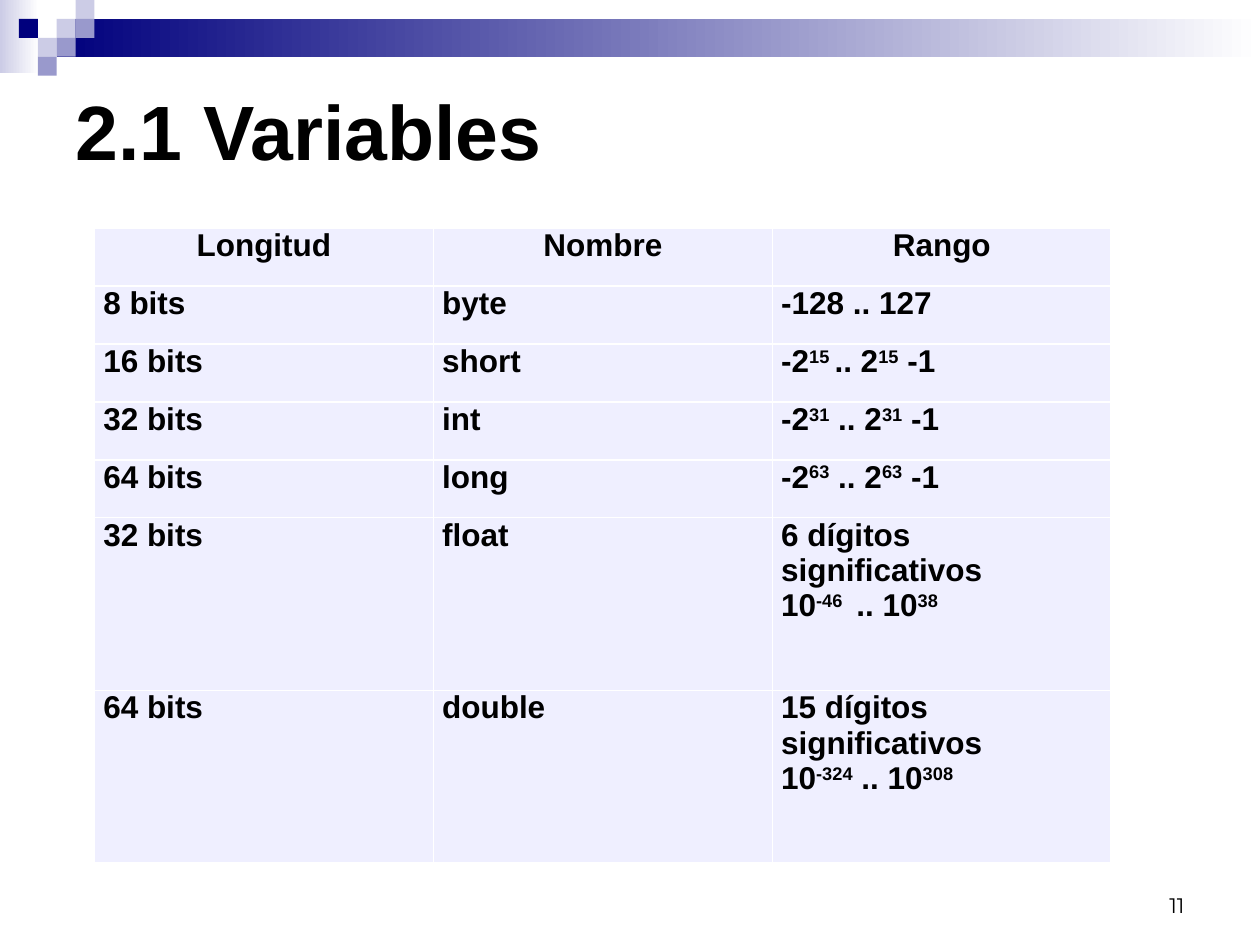
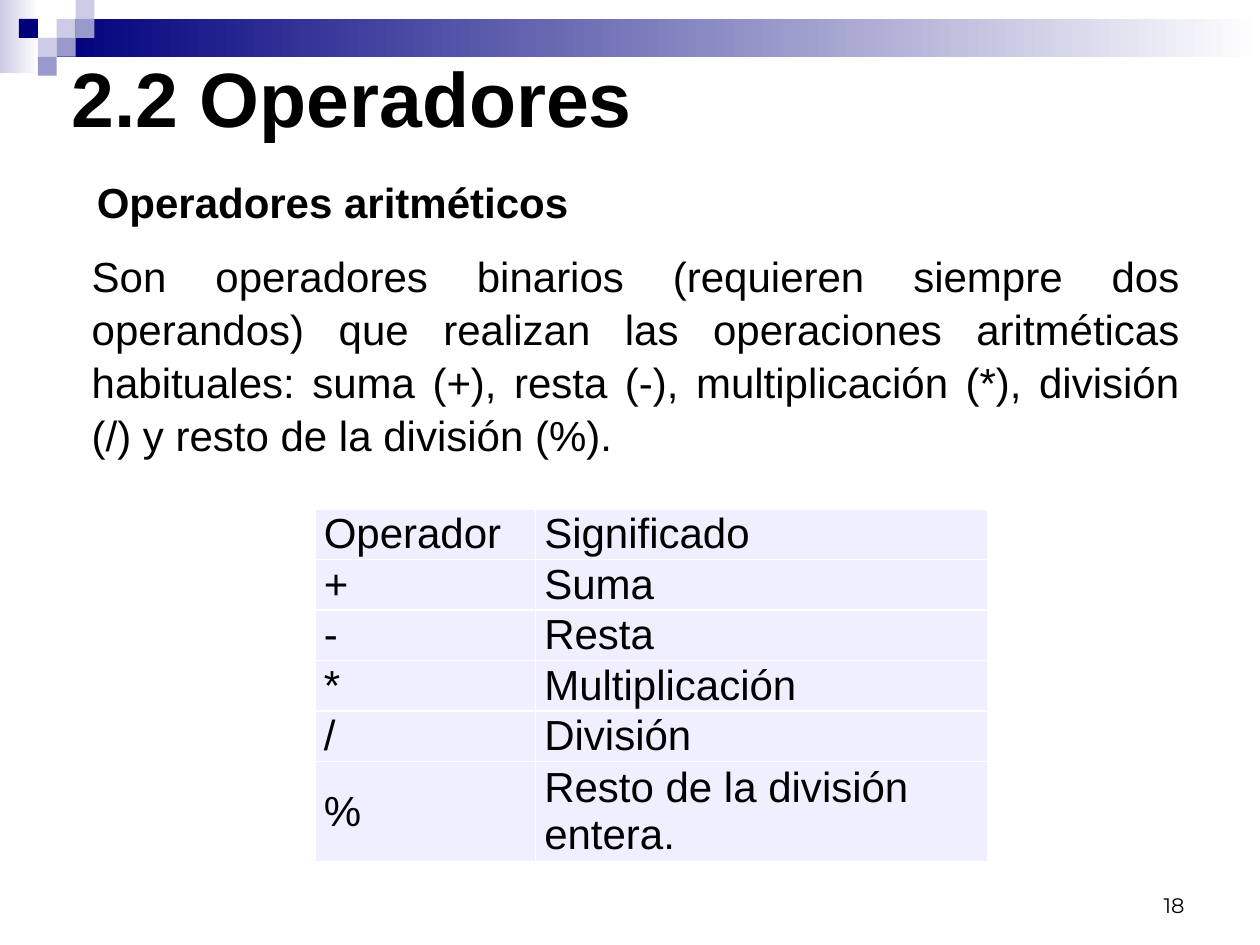
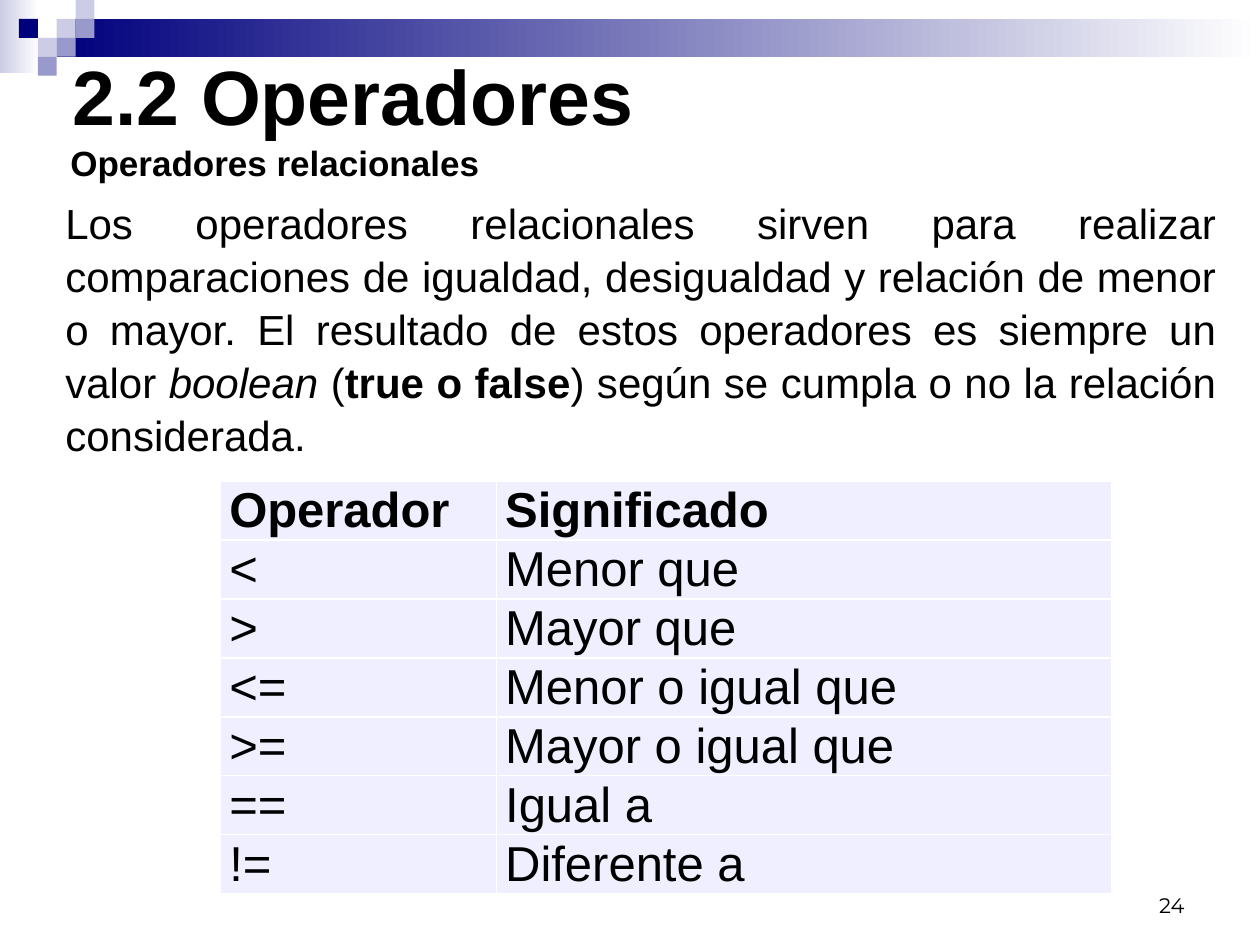
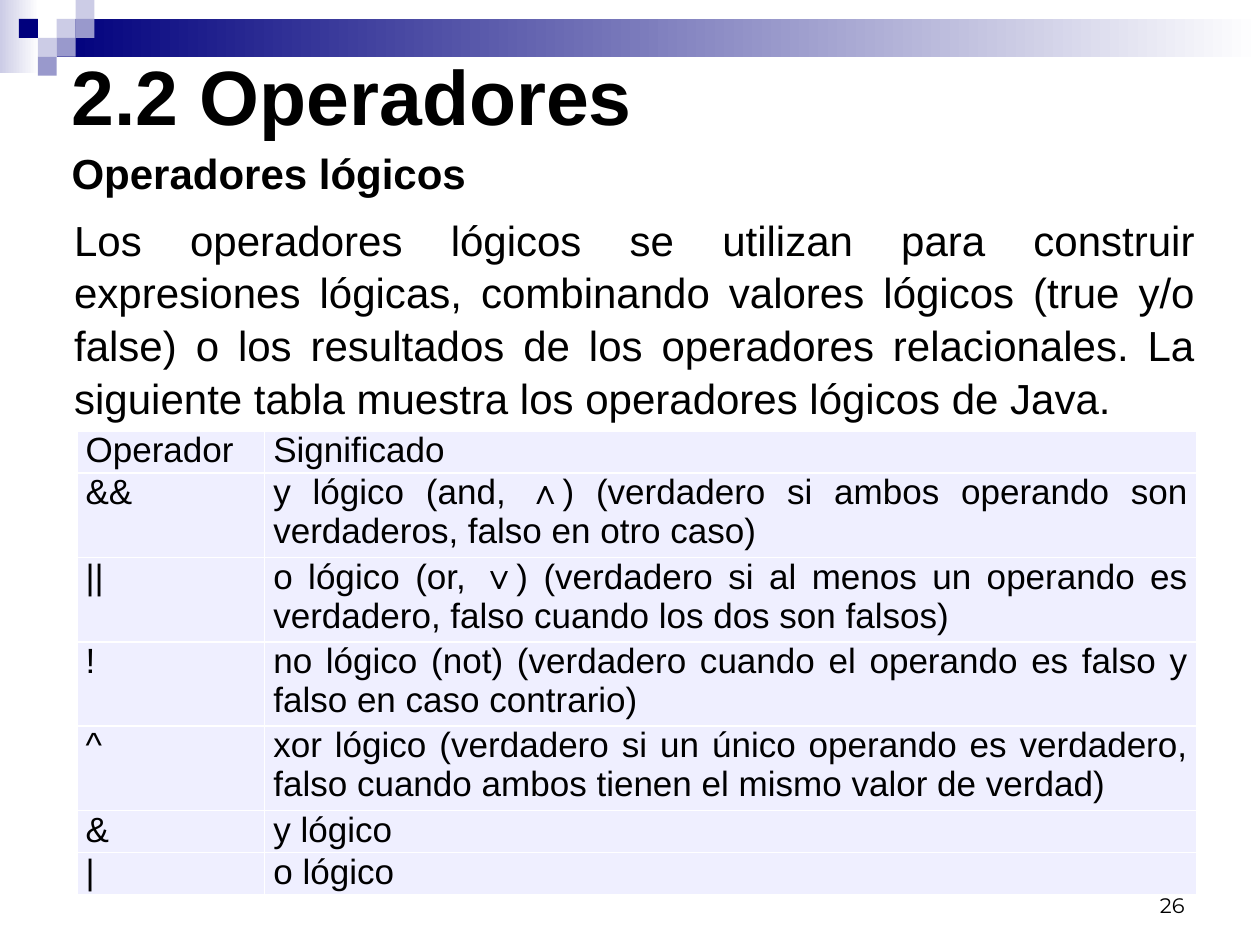
from dataclasses import dataclass, field
from lxml import etree
from pptx import Presentation
from pptx import util as u
from pptx.dml import color
from pptx.enum import shapes, text
from pptx.oxml import ns

COLORS = {
    "navy": "00007D", "violet": "9999CC", "lilac": "CCCCE6",
    "white": "FFFFFF", "black": "000000", "cell": "EFEFFF",
}
FONT, NUMBER_FONT = "Arial", "Montserrat"
LEFT, CENTER = text.PP_ALIGN.LEFT, text.PP_ALIGN.CENTER
RIGHT, JUSTIFY = text.PP_ALIGN.RIGHT, text.PP_ALIGN.JUSTIFY
TOP, MIDDLE = text.MSO_ANCHOR.TOP, text.MSO_ANCHOR.MIDDLE
BOTTOM = text.MSO_ANCHOR.BOTTOM


@dataclass(frozen=True)
class Area:
    left: float
    top: float
    width: float
    height: float

    def lengths(self) -> list[u.Length]:
        return [u.Inches(n) for n in (self.left, self.top, self.width, self.height)]


@dataclass(frozen=True)
class Run:
    words: str
    bold: bool = False
    italic: bool = False
    raised: bool = False


Line = list[Run]


@dataclass(frozen=True)
class Style:
    size: float
    bold: bool = False
    align: text.PP_ALIGN = LEFT
    anchor: text.MSO_ANCHOR = TOP
    font: str = FONT
    spacing: float = 1.0


TITLE = Style(44, bold=True, anchor=MIDDLE)
BODY = Style(24, align=JUSTIFY, spacing=1.05)
NUMBER = Style(12, align=RIGHT, anchor=BOTTOM, font=NUMBER_FONT)


@dataclass(frozen=True)
class TextBlock:
    area: Area
    lines: list[Line]
    style: Style


@dataclass(frozen=True)
class Grid:
    left: float
    top: float
    columns: list[float]
    heights: list[float]
    rows: list[list[str | list[Line]]]
    style: Style
    header: Style


@dataclass(frozen=True)
class Page:
    number: int
    title: str
    title_at: tuple[float, float]
    grid: Grid
    blocks: list[TextBlock] = field(default_factory=list)


def rgb(name: str) -> color.RGBColor:
    return color.RGBColor.from_string(COLORS[name])


def plain(words: str) -> list[Line]:
    return [[Run(words)]]


def powers(*parts: str) -> Line:
    """Every second part is an exponent."""
    return [Run(part, raised=i % 2 == 1) for i, part in enumerate(parts)]


def write(frame, lines: list[Line], style: Style) -> None:
    for i, line in enumerate(lines):
        para = frame.paragraphs[0] if i == 0 else frame.add_paragraph()
        para.alignment = style.align
        para.line_spacing = style.spacing
        for run in line:
            span = para.add_run()
            span.text = run.words
            span.font.name = style.font
            span.font.size = u.Pt(style.size)
            span.font.bold = style.bold or run.bold
            span.font.italic = run.italic
            span.font.color.rgb = rgb("black")
            if run.raised:
                span.font._element.set("baseline", "30000")


def add_text(page, block: TextBlock) -> None:
    box = page.shapes.add_textbox(*block.area.lengths())
    box.text_frame.word_wrap = True
    box.text_frame.vertical_anchor = block.style.anchor
    write(box.text_frame, block.lines, block.style)


def add_block(page, area: Area, *fills: str) -> None:
    """One colour makes a solid block, two make a gradient to the right."""
    shape = page.shapes.add_shape(shapes.MSO_SHAPE.RECTANGLE, *area.lengths())
    shape.shadow.inherit = False
    shape.line.fill.background()
    if len(fills) == 1:
        shape.fill.solid()
        shape.fill.fore_color.rgb = rgb(fills[0])
        return
    shape.fill.gradient()
    shape.fill.gradient_angle = 0
    for stop, name in zip(shape.fill.gradient_stops, fills):
        stop.color.rgb = rgb(name)


def add_decoration(page) -> None:
    add_block(page, Area(0, 0, 0.31, 0.58), "lilac", "white")
    add_block(page, Area(0.45, 0.15, 9.55, 0.3), "navy", "white")
    side = 0.15
    squares = [(3, 1, "lilac"), (4, 0, "lilac"), (4, 1, "violet"), (2, 2, "lilac"),
               (1, 1, "navy"), (3, 2, "violet"), (2, 3, "violet")]
    for column, row, name in squares:
        add_block(page, Area(column * side, row * side, side, side), name)


def add_borders(cell) -> None:
    properties = cell._tc.get_or_add_tcPr()
    for edge in ("a:lnL", "a:lnR", "a:lnT", "a:lnB"):
        line = etree.SubElement(properties, ns.qn(edge), w=str(u.Pt(1)))
        fill = etree.SubElement(line, ns.qn("a:solidFill"))
        etree.SubElement(fill, ns.qn("a:srgbClr"), val=COLORS["white"])


def add_grid(page, grid: Grid) -> None:
    area = Area(grid.left, grid.top, sum(grid.columns), sum(grid.heights))
    table = page.shapes.add_table(
        len(grid.rows), len(grid.columns), *area.lengths()).table
    table.first_row = table.horz_banding = False
    for column, width in zip(table.columns, grid.columns):
        column.width = u.Inches(width)
    for r, (row, height) in enumerate(zip(grid.rows, grid.heights)):
        table.rows[r].height = u.Inches(height)
        style = grid.style if r else grid.header
        for c, content in enumerate(row):
            cell = table.cell(r, c)
            cell.margin_left = cell.margin_right = u.Inches(0.07)
            cell.margin_top = cell.margin_bottom = 0
            cell.vertical_anchor = style.anchor
            add_borders(cell)
            cell.fill.solid()
            cell.fill.fore_color.rgb = rgb("cell")
            lines = plain(content) if isinstance(content, str) else content
            write(cell.text_frame, lines, style)


def add_page(deck, content: Page) -> None:
    page = deck.slides.add_slide(deck.slide_layouts[6])
    add_decoration(page)
    add_text(page, TextBlock(Area(7.17, 6.83, 2.33, 0.5), plain(str(content.number)), NUMBER))
    add_text(page, TextBlock(Area(*content.title_at, 9, 1.5), plain(content.title), TITLE))
    for block in content.blocks:
        add_text(page, block)
    add_grid(page, content.grid)


OPERATORS = "2.2 Operadores"
HEADINGS = ["Operador", "Significado"]

# Variable types
variables = Page(11, "2.1 Variables", (0.5, 0.28), Grid(
    0.75, 1.81, [2.69] * 3, [0.46] * 5 + [1.37] * 2,
    [
        ["Longitud", "Nombre", "Rango"],
        ["8 bits", "byte", "-128 .. 127"],
        ["16 bits", "short", [powers("-2", "15 ", ".. 2", "15", " -1")]],
        ["32 bits", "int", [powers("-2", "31", " .. 2", "31", " -1")]],
        ["64 bits", "long", [powers("-2", "63", " .. 2", "63", " -1")]],
        ["32 bits", "float", [[Run("6 dígitos significativos")],
                              powers("10", "-46 ", " .. 10", "38")]],
        ["64 bits", "double", [[Run("15 dígitos significativos")],
                               powers("10", "-324", " .. 10", "308")]],
    ],
    Style(18, bold=True), Style(18, bold=True, align=CENTER)))

# Arithmetic operators
arithmetic_style = Style(24, anchor=MIDDLE)
arithmetic = Page(18, OPERATORS, (0.47, 0.02), Grid(
    2.5, 4.04, [1.75, 3.59], [0.4] * 5 + [0.8],
    [
        HEADINGS,
        ["+", "Suma"],
        ["-", "Resta"],
        ["*", "Multiplicación"],
        ["/", "División"],
        ["%", "Resto de la división entera."],
    ],
    arithmetic_style, arithmetic_style),
    [
        TextBlock(Area(0.67, 1.33, 5, 0.91), plain("Operadores aritméticos"),
                  Style(24, bold=True, spacing=1.05)),
        TextBlock(Area(0.63, 1.92, 8.83, 1.72), plain(
            "Son operadores binarios (requieren siempre dos operandos) que realizan "
            "las operaciones aritméticas habituales: suma (+), resta (-), "
            "multiplicación (*), división (/) y resto de la división (%)."), BODY),
    ])

# Relational operators
relational = Page(24, OPERATORS, (0.48, 0), Grid(
    1.75, 3.82, [2.19, 4.88], [3.27 / 7] * 7,
    [
        HEADINGS,
        ["<", "Menor que"],
        [">", "Mayor que"],
        ["<=", "Menor o igual que"],
        [">=", "Mayor o igual que"],
        ["==", "Igual a"],
        ["!=", "Diferente a"],
    ],
    Style(28, anchor=MIDDLE), Style(28, bold=True, anchor=MIDDLE)),
    [
        TextBlock(Area(0.46, 1.06, 5, 0.44), plain("Operadores relacionales"),
                  Style(20, bold=True, spacing=1.05)),
        TextBlock(Area(0.42, 1.5, 9.33, 2.12), [[
            Run("Los operadores relacionales sirven para realizar comparaciones de "
                "igualdad, desigualdad y relación de menor o mayor. El resultado de "
                "estos operadores es siempre un valor "),
            Run("boolean", italic=True),
            Run(" ("),
            Run("true o false", bold=True),
            Run(") según se cumpla o no la relación considerada."),
        ]], BODY),
    ])

# Logical operators
logical_style = Style(20, align=JUSTIFY)
logical = Page(26, OPERATORS, (0.47, 0), Grid(
    0.61, 3.42, [1.49, 7.4], [0.33] + [0.67] * 4 + [0.33] * 2,
    [
        HEADINGS,
        ["&&", "y lógico (and, ∧) (verdadero si ambos operando son verdaderos, "
               "falso en otro caso)"],
        ["||", "o lógico (or, ∨) (verdadero si al menos un operando es verdadero, "
               "falso cuando los dos son falsos)"],
        ["!", "no lógico (not) (verdadero cuando el operando es falso y falso en "
              "caso contrario)"],
        ["^", "xor lógico (verdadero si un único operando es verdadero, falso "
              "cuando ambos tienen el mismo valor de verdad)"],
        ["&", "y lógico"],
        ["|", "o lógico"],
    ],
    logical_style, logical_style),
    [
        TextBlock(Area(0.47, 1.1, 5, 0.5), plain("Operadores lógicos"),
                  Style(24, bold=True, spacing=1.05)),
        TextBlock(Area(0.49, 1.63, 9.09, 2.52), plain(
            "Los operadores lógicos se utilizan para construir expresiones lógicas, "
            "combinando valores lógicos (true y/o false) o los resultados de los "
            "operadores relacionales. La siguiente tabla muestra los operadores "
            "lógicos de Java."), BODY),
    ])

deck = Presentation()
deck.slide_width, deck.slide_height = u.Inches(10), u.Inches(7.5)
for content in (variables, arithmetic, relational, logical):
    add_page(deck, content)
deck.save("out.pptx")
